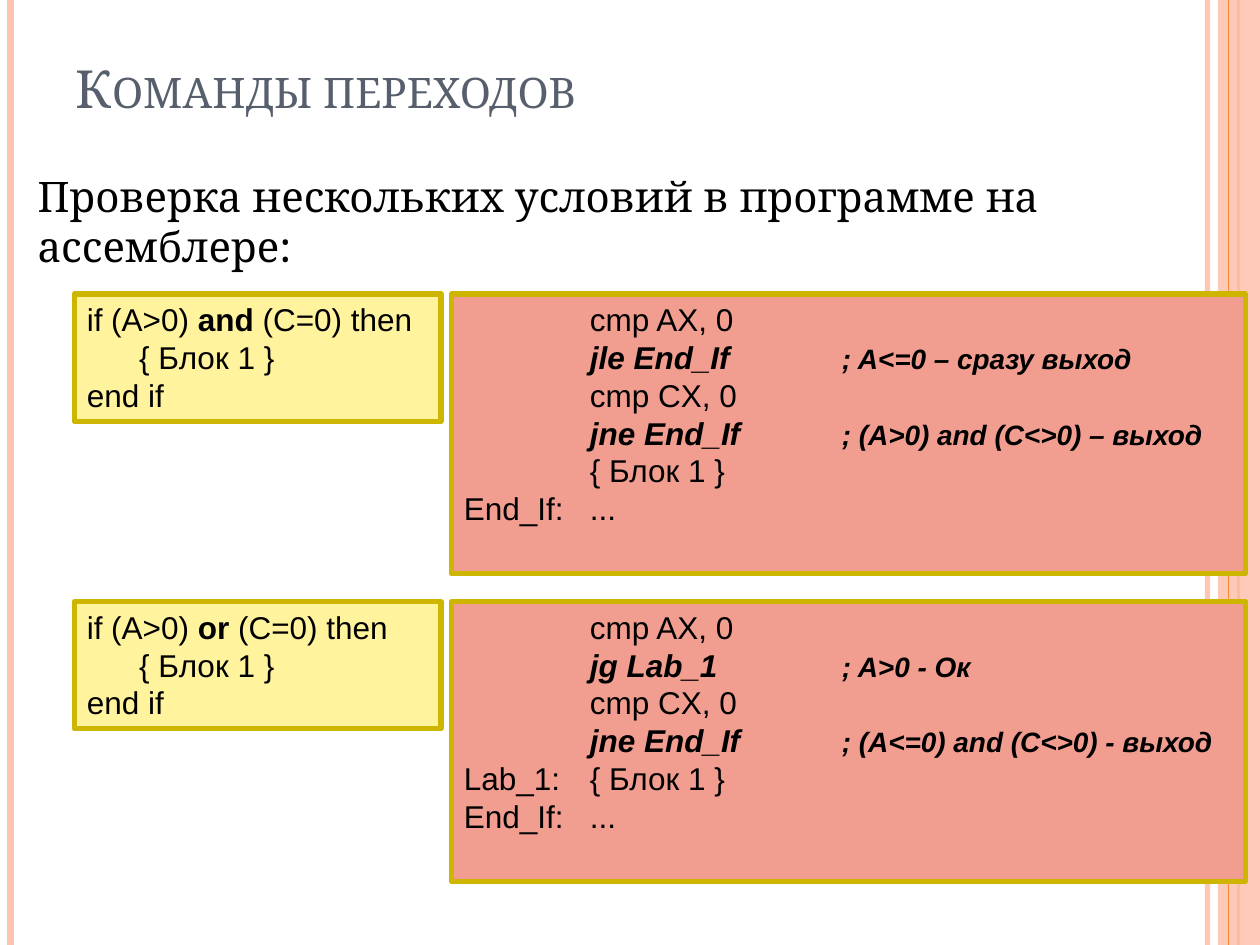
"""Build the slide on jump commands with two compound conditions."""
from lxml.etree import SubElement
from pptx import Presentation
from pptx.dml.color import RGBColor
from pptx.enum.shapes import MSO_CONNECTOR, MSO_SHAPE
from pptx.enum.text import MSO_ANCHOR, PP_ALIGN
from pptx.oxml.ns import qn
from pptx.util import Pt

PEACH = RGBColor(0xFE, 0xC3, 0xAE)
ORANGE = RGBColor(0xFE, 0x86, 0x37)
SLATE = RGBColor(0x57, 0x5F, 0x6D)
BLACK = RGBColor(0, 0, 0)
YELLOW = RGBColor(0xFF, 0xF3, 0x9D)
ROSE = RGBColor(0xF1, 0x9E, 0x91)
GOLD = RGBColor(0xCE, 0xB5, 0x00)


def add_run(para, text, size, font="Arial", color=BLACK, bold=False, slant=False):
    run = para.add_run()
    run.text = text
    run.font.size = Pt(size)
    run.font.name = font
    run.font.color.rgb = color
    run.font.bold = bold
    run.font.italic = slant
    return run


def fade(fill, share):
    color = fill._xPr.find(qn("a:solidFill"))[0]
    SubElement(color, qn("a:alpha")).set("val", str(share * 1000))


deck = Presentation()
deck.slide_width, deck.slide_height = Pt(720), Pt(540)
slide = deck.slides.add_slide(deck.slide_layouts[6])
shapes = slide.shapes

for x, color, width, share in [
    (690, PEACH, 3, 93),
    (6, PEACH, 4.5, 100),
    (707.75, ORANGE, 1.5, 100),
    (None, PEACH, 0, 87),
    (702, ORANGE, 0.75, 100),
]:
    if x is None:
        band = shapes.add_shape(MSO_SHAPE.RECTANGLE, Pt(696), 0, Pt(24), Pt(540))
        band.shadow.inherit = False
        band.line.fill.background()
        fill = band.fill
    else:
        line = shapes.add_connector(MSO_CONNECTOR.STRAIGHT, Pt(x), 0, Pt(x), Pt(540))
        SubElement(line._element.spPr, qn("a:effectLst"))
        line.line.width = Pt(width)
        fill = line.line.fill
    fill.solid()
    fill.fore_color.rgb = color
    if share < 100:
        fade(fill, share)

body = shapes.add_textbox(Pt(14.4), Pt(94.3), Pt(697.7), Pt(67.7)).text_frame
body.word_wrap = True
para = body.paragraphs[0]
para.line_spacing = Pt(28.6)
add_run(para, "Проверка нескольких условий в программе на ассемблере:", 24, "Noto Serif")

title = shapes.add_textbox(Pt(36), Pt(21.6), Pt(648), Pt(49.7)).text_frame
title.word_wrap = True
title.vertical_anchor = MSO_ANCHOR.BOTTOM
title.margin_bottom = Pt(3.4)
run = add_run(title.paragraphs[0], "Команды переходов", 30, "Noto Serif", SLATE)
run.font._element.set("cap", "small")

cases = [
    ("and", "jle End_If", "; A<=0 – сразу выход", "; (A>0) and (C<>0) – выход", ""),
    ("or", "jg Lab_1", "; A>0 - Ок", "; (A<=0) and (C<>0) - выход", "Lab_1:"),
]
for row, (word, jump, note, last, label) in enumerate(cases):
    top = 168 + 175.8 * row
    test = [
        (0, [("if (A>0) ", 18, 0, 0), (word, 18, 1, 0), (" (C=0) then", 18, 0, 0)]),
        (30, [("{ Блок 1 }", 18, 0, 0)]),
        (0, [("end if", 18, 0, 0)]),
    ]
    code = [
        (0, [("\tcmp AX, 0", 18, 0, 0)]),
        (0, [("\t", 18, 0, 0), (jump + "\t", 18, 1, 1), (note, 16, 1, 1)]),
        (0, [("\tcmp CX, 0", 18, 0, 0)]),
        (0, [("\tjne End_If\t", 18, 1, 1), (last, 16, 1, 1)]),
        (0, [(label + "\t{ Блок 1 }", 18, 0, 0)]),
        (0, [("End_If:\t...", 18, 0, 0)]),
    ]
    for left, width, height, color, lines, stops in [
        (42.5, 209.5, 72.7, YELLOW, test, []),
        (258, 453.6, 159.8, ROSE, code, [72, 216]),
    ]:
        box = shapes.add_shape(
            MSO_SHAPE.RECTANGLE, Pt(left), Pt(top), Pt(width), Pt(height)
        )
        box.shadow.inherit = False
        box.fill.solid()
        box.fill.fore_color.rgb = color
        box.line.color.rgb = GOLD
        box.line.width = Pt(3)
        frame = box.text_frame
        frame.word_wrap = True
        frame.vertical_anchor = MSO_ANCHOR.TOP
        for i, (indent, runs) in enumerate(lines):
            para = frame.add_paragraph() if i else frame.paragraphs[0]
            para.alignment = PP_ALIGN.LEFT
            para.line_spacing = Pt(21.6)
            props = para._p.get_or_add_pPr()
            if indent:
                props.set("marL", str(Pt(indent)))
            if stops:
                tabs = SubElement(props, qn("a:tabLst"))
                for stop in stops:
                    SubElement(tabs, qn("a:tab"), pos=str(Pt(stop)), algn="l")
            for text, size, bold, slant in runs:
                add_run(para, text, size, bold=bool(bold), slant=bool(slant))

deck.save("out.pptx")
